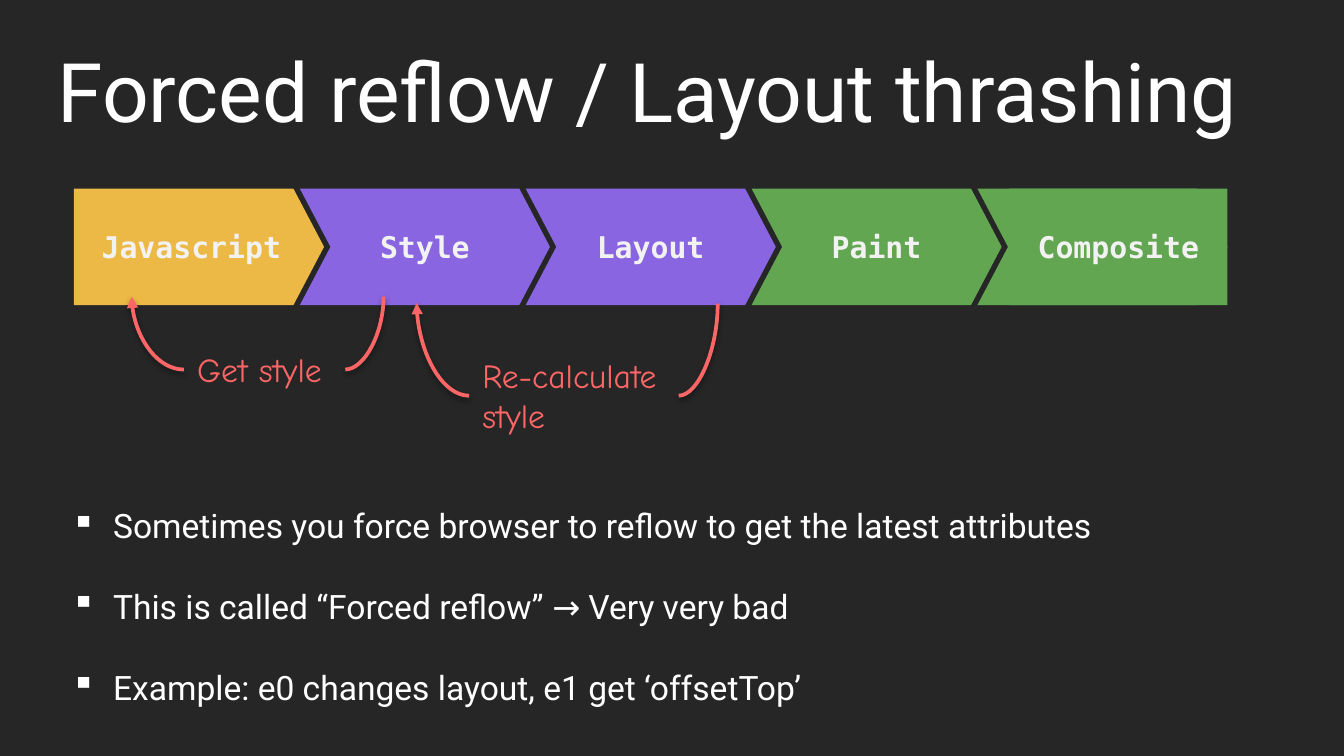
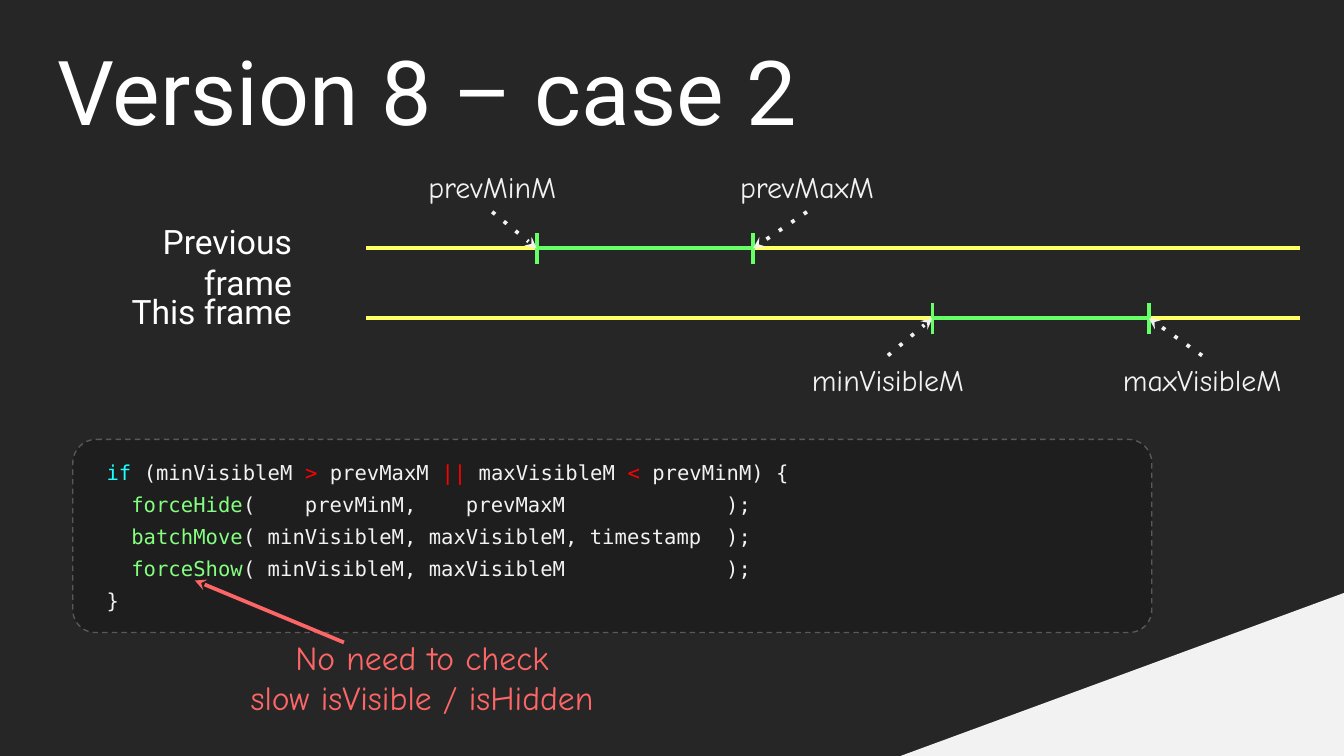
from lxml.etree import SubElement
from pptx import Presentation
from pptx.dml.color import RGBColor
from pptx.enum.shapes import MSO_CONNECTOR, MSO_SHAPE
from pptx.enum.text import MSO_ANCHOR, MSO_AUTO_SIZE, PP_ALIGN
from pptx.oxml.ns import qn
from pptx.util import Pt

BODY, HAND, MONO = "Roboto", "Comic Neue", "DejaVu Sans Mono"
DARK, WHITE, PALE = "262626", "FFFFFF", "F2F2F2"
CORAL, YELLOW, LIME = "FD6666", "FFFF66", "66FF66"
AMBER, PURPLE, GREEN = "ECB946", "8965E1", "63A652"
CODE_BACK, CODE_EDGE = "1E1E1F", "595959"
KEYWORD, OPERATOR, CALL = "20FFFF", "FF0000", "84FF7F"


def rgb(color):
    return RGBColor.from_string(color)


class Deck:
    """Holds the shared style and the slide being filled; lengths are points."""

    def __init__(self):
        self.presentation = Presentation()
        self.presentation.slide_width = Pt(720)
        self.presentation.slide_height = Pt(405)
        self.slide = None

    def start_slide(self, title, size):
        blank = self.presentation.slide_layouts[6]
        self.slide = self.presentation.slides.add_slide(blank)
        self.slide.background.fill.solid()
        self.slide.background.fill.fore_color.rgb = rgb(DARK)
        self.text(23.75, 15.85, 672.5, 64, [title], size, anchor=MSO_ANCHOR.MIDDLE)

    def fill_text(self, frame, paragraphs, size, color, font,
                  align=PP_ALIGN.LEFT, bold=False, spacing=None, bullet=None):
        """Each paragraph is a string or a list of (text, color) runs."""
        for number, content in enumerate(paragraphs):
            paragraph = frame.paragraphs[0] if number == 0 else frame.add_paragraph()
            paragraph.alignment = align
            if spacing:
                paragraph.line_spacing = spacing
            if bullet:
                properties = paragraph._p.get_or_add_pPr()
                properties.set("marL", str(Pt(22.5)))
                properties.set("indent", str(-Pt(22.5)))
                SubElement(properties, qn("a:buChar"), char=bullet)
            runs = [(content, color)] if isinstance(content, str) else content
            for words, run_color in runs:
                run = paragraph.add_run()
                run.text = words
                run.font.name, run.font.size, run.font.bold = font, Pt(size), bold
                run.font.color.rgb = rgb(run_color)

    def text(self, x, y, width, height, paragraphs, size, color=WHITE, font=BODY,
             wrap=True, anchor=MSO_ANCHOR.TOP, **style):
        box = self.slide.shapes.add_textbox(Pt(x), Pt(y), Pt(width), Pt(height))
        frame = box.text_frame
        frame.word_wrap, frame.vertical_anchor = wrap, anchor
        if anchor == MSO_ANCHOR.TOP:
            frame.auto_size = MSO_AUTO_SIZE.SHAPE_TO_FIT_TEXT
        self.fill_text(frame, paragraphs, size, color, font, **style)

    def shape(self, kind, x, y, width, height, fill, adjustments=()):
        shape = self.slide.shapes.add_shape(kind, Pt(x), Pt(y), Pt(width), Pt(height))
        shape.shadow.inherit = False
        shape.fill.solid()
        shape.fill.fore_color.rgb = rgb(fill)
        shape.line.fill.background()
        for number, value in enumerate(adjustments):
            shape.adjustments[number] = value
        return shape

    def stage(self, kind, x, width, fill, name=None, point=0.263):
        stage = self.shape(kind, x, 101, width, 62.5, fill, [point])
        if name:
            frame = stage.text_frame
            frame.margin_left = frame.margin_right = 0
            frame.word_wrap, frame.vertical_anchor = True, MSO_ANCHOR.MIDDLE
            self.fill_text(frame, [name], 16, PALE, MONO, PP_ALIGN.CENTER, bold=True)
        return stage

    def code_panel(self, x, y, width, height, lines):
        panel = self.shape(MSO_SHAPE.ROUND_2_SAME_RECTANGLE, x, y, width, height,
                           CODE_BACK, [0.122, 0.117])
        self.stroke(panel, CODE_EDGE, 0.75, "dash")
        frame = panel.text_frame
        frame.margin_left = frame.margin_right = Pt(14.4)
        frame.margin_top, frame.margin_bottom = Pt(3.6), Pt(7.2)
        frame.word_wrap, frame.vertical_anchor = True, MSO_ANCHOR.MIDDLE
        self.fill_text(frame, lines, 11, PALE, MONO, spacing=1.3)

    def stroke(self, item, color, width=2, dash=None, head=None, tail=None):
        item.line.color.rgb = rgb(color)
        item.line.width = Pt(width)
        outline = item.line._get_or_add_ln()
        if dash:
            SubElement(outline, qn("a:prstDash"), val=dash)
        for end, arrow in (("a:headEnd", head), ("a:tailEnd", tail)):
            if arrow:
                SubElement(outline, qn(end), type=arrow)

    def line(self, x1, y1, x2, y2, color, kind=MSO_CONNECTOR.STRAIGHT, **stroke):
        line = self.slide.shapes.add_connector(kind, Pt(x1), Pt(y1), Pt(x2), Pt(y2))
        self.stroke(line, color, **stroke)
        effects = SubElement(line._element.spPr, qn("a:effectLst"))
        return line, effects

    def curve(self, x1, y1, x2, y2, turned=False, **stroke):
        """Quarter bend that leaves sideways, or leaves downwards if turned."""
        if turned:
            middle_x, middle_y = (x1 + x2) / 2, (y1 + y2) / 2
            half_x, half_y = (y2 - y1) / 2, (x2 - x1) / 2
            x1, x2 = middle_x + half_x, middle_x - half_x
            y1, y2 = middle_y - half_y, middle_y + half_y
        line, effects = self.line(x1, y1, x2, y2, CORAL, MSO_CONNECTOR.CURVE, **stroke)
        properties = line._element.spPr
        properties.find(qn("a:prstGeom")).set("prst", "curvedConnector2")
        if turned:
            properties.find(qn("a:xfrm")).set("rot", str(270 * 60000))
        shadow = SubElement(effects, qn("a:outerShdw"), blurRad=str(Pt(3.1)),
                            dist=str(Pt(1.6)), dir=str(90 * 60000), rotWithShape="0")
        black = SubElement(shadow, qn("a:srgbClr"), val="000000")
        SubElement(black, qn("a:alpha"), val="38000")

    def loop_back(self, target, source, y, words, x, top, width, height):
        """Remark with a bend from the later stage and an arrow to the earlier one."""
        (target_x, target_y), (source_x, source_y) = target, source
        self.text(x, top, width, height, words, 18, CORAL, HAND, wrap=False)
        self.curve(x + width, y, source_x, source_y)
        self.curve(target_x, target_y, x, y, turned=True, head="triangle")

    def timeline(self, name, y, start, ends, above):
        """Frame row with its visible range; ends are (name, label centre, width)."""
        length, tick = 116, 8.3
        self.text(31, y - 18, 132.5, 29, [name], 18, align=PP_ALIGN.RIGHT)
        self.line(196, y, 696.5, y, YELLOW)
        for x in (start, start + length):
            self.line(x, y - tick, x, y + tick, LIME)
        self.line(start, y, start + length, y, LIME)
        edge = y - 19.5 if above else y + 20
        top = edge - 26.6 if above else edge
        for x, (label, centre, width) in zip((start, start + length), ends):
            self.text(centre - width / 2, top, width, 26.6, [label], 16, PALE, HAND,
                      wrap=False, align=PP_ALIGN.CENTER)
            self.line(centre, edge, x, y, PALE, dash="dot", tail="stealth")


def reflow_slide(deck):
    deck.start_slide("Forced reflow / Layout thrashing", 44)
    deck.text(31, 245.5, 689, 134.6, [
        "Sometimes you force browser to reflow to get the latest attributes",
        "This is called “Forced reflow” → Very very bad",
        "Example: e0 changes layout, e1 get ‘offsetTop’",
    ], 18, spacing=2.0, bullet="▪")

    left, pitch, width = 39.6, 121, 134
    deck.stage(MSO_SHAPE.PENTAGON, left, width, AMBER, "Javascript")
    stages = [("Style", PURPLE), ("Layout", PURPLE), ("Paint", GREEN)]
    for number, (name, fill) in enumerate(stages, 1):
        deck.stage(MSO_SHAPE.CHEVRON, left + number * pitch, width, fill, name)
    notch = deck.stage(MSO_SHAPE.CHEVRON, left + 4 * pitch, width, GREEN)
    square_end = deck.stage(MSO_SHAPE.CHEVRON, 540.8, 116.7, GREEN, "Composite", point=0)
    deck.slide.shapes.add_group_shape([notch, square_end])

    deck.loop_back((70.6, 159), (205.5, 159), 198, ["Get style"],
                   98.6, 183.6, 86.4, 29)
    deck.loop_back((223.2, 162.3), (384.5, 162.7), 212, ["Re-calculate", "style"],
                   251.3, 186.5, 112.3, 51)


def version_slide(deck):
    deck.start_slide("Version 8 – case 2", 48)
    corner = deck.shape(MSO_SHAPE.RIGHT_TRIANGLE, 482.5, 317.7, 237.5, 87.3, PALE)
    corner._element.spPr.find(qn("a:xfrm")).set("flipH", "1")

    deck.timeline("Previous frame", 133, 287.5,
                  [("prevMinM", 263.7, 87), ("prevMaxM", 432.3, 87)], above=True)
    deck.timeline("This frame", 170.5, 499.5,
                  [("minVisibleM", 475.7, 107), ("maxVisibleM", 644, 107)], above=False)

    deck.code_panel(39, 235.4, 578, 103.5, [
        [("if ", KEYWORD), ("(minVisibleM ", PALE), (">", OPERATOR),
         (" prevMaxM ", PALE), ("||", OPERATOR), (" maxVisibleM ", PALE),
         ("<", OPERATOR), (" prevMinM) {", PALE)],
        [("  forceHide", CALL), ("(    prevMinM,    prevMaxM             );", PALE)],
        [("  batchMove", CALL), ("( minVisibleM, maxVisibleM, timestamp  );", PALE)],
        [("  forceShow", CALL), ("( minVisibleM, maxVisibleM             );", PALE)],
        "}",
    ])
    deck.text(115.2, 337.7, 221.8, 51, ["No need to check", "slow isVisible / isHidden"],
              18, CORAL, HAND, wrap=False, align=PP_ALIGN.CENTER)
    deck.line(184.3, 344.2, 104.4, 311, CORAL, tail="stealth")


def main():
    deck = Deck()
    reflow_slide(deck)
    version_slide(deck)
    deck.presentation.save("out.pptx")


if __name__ == "__main__":
    main()
